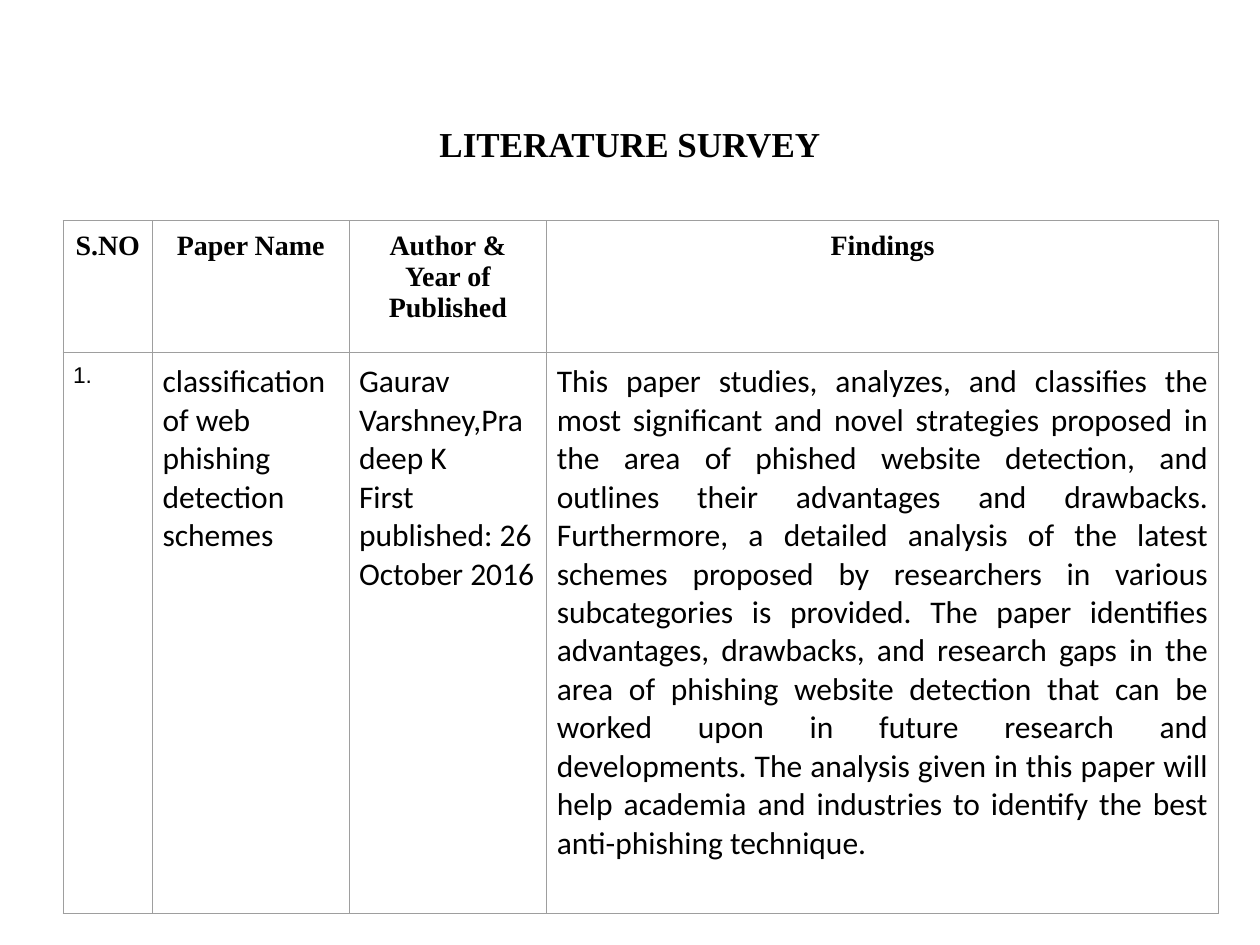
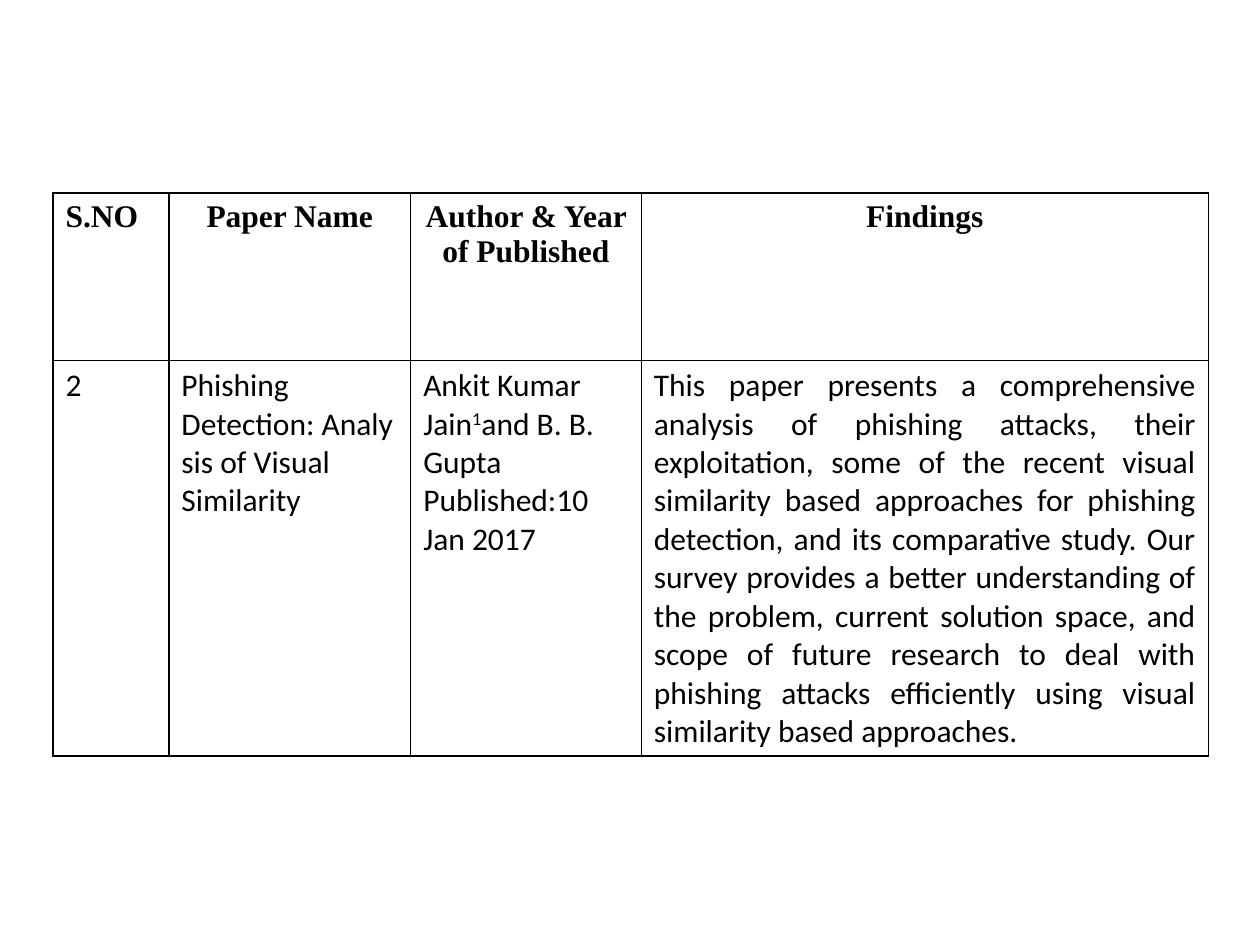
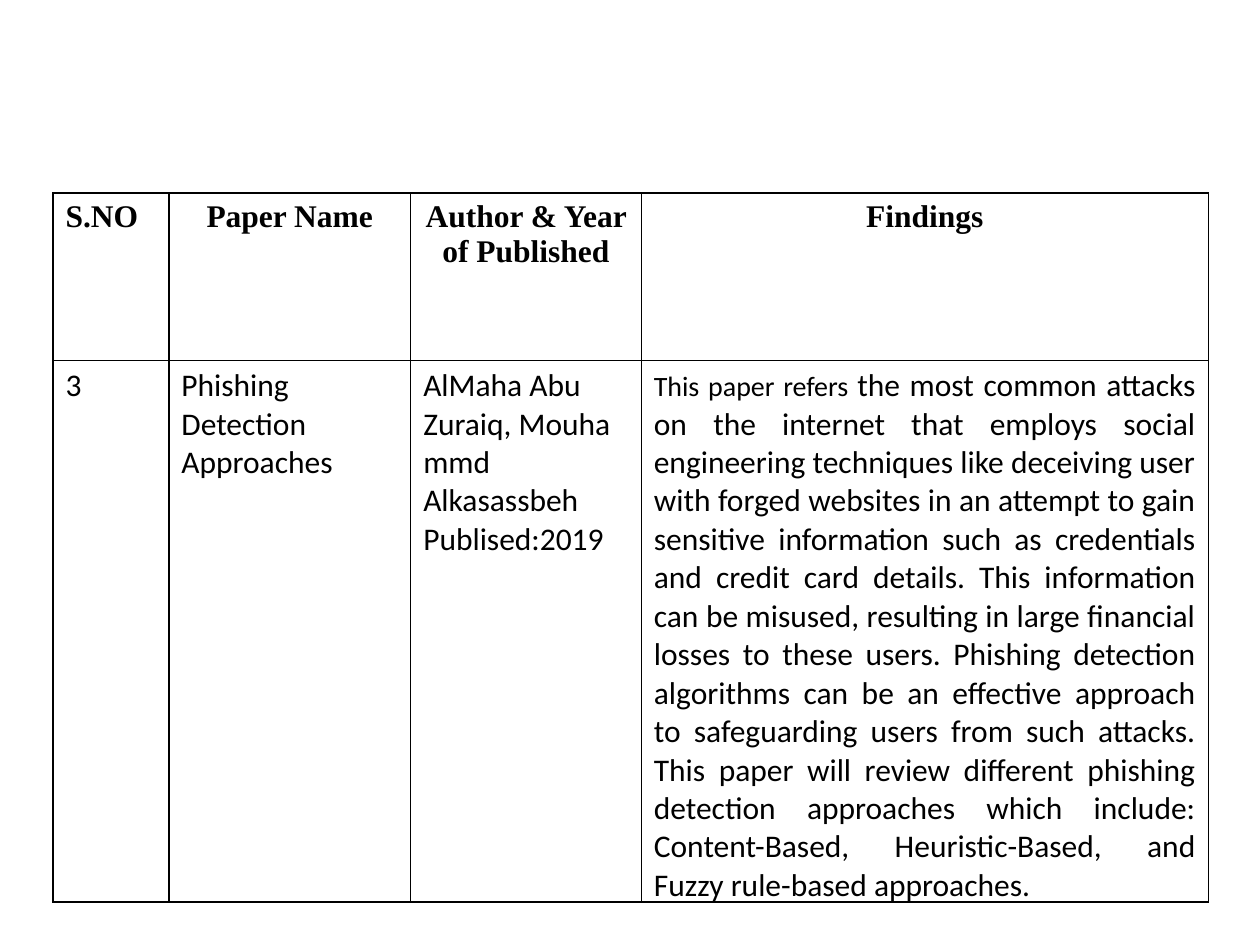
from lxml import etree
from pptx import Presentation
from pptx import util as u
from pptx.dml.color import RGBColor
from pptx.enum import text
from pptx.oxml import ns

COLORS = {"ink": "000000", "grid": "9E9E9E"}
HEADING_FONT, BODY_FONT = "Times New Roman", "Calibri"
SLIDE_WIDTH, SLIDE_HEIGHT = 10, 7.5
TITLE = "LITERATURE SURVEY"
HEADERS = ["S.NO", "Paper Name", "Author & Year of Published", "Findings"]

FIRST_LAYOUT = {
    "left": 0.5, "top": 1.75, "columns": [0.71, 1.56, 1.57, 5.33], "rows": [1.05, 4.45],
    "header_size": 16, "number_font": ("Arial", 13), "number_header": "center",
    "margins": (0.08, 0.08), "border": ("grid", 0.6),
}
LATER_LAYOUT = {
    "left": 0.42, "top": 1.53, "columns": [0.92, 1.92, 1.83, 4.5], "rows": [1.33, 3.14],
    "header_size": 18, "number_font": (BODY_FONT, 18), "number_header": "left",
    "margins": (0.1, 0.05), "border": ("ink", 1),
}

PAPERS = [
    {
        "title": TITLE, "layout": FIRST_LAYOUT,
        "cells": [
            ["1."],
            ["classification of web phishing detection schemes"],
            ["Gaurav Varshney,Pradeep K", "First published: 26 October 2016"],
            ["This paper studies, analyzes, and classifies the most significant and novel "
             "strategies proposed in the area of phished website detection, and outlines their "
             "advantages and drawbacks. Furthermore, a detailed analysis of the latest schemes "
             "proposed by researchers in various subcategories is provided. The paper identifies "
             "advantages, drawbacks, and research gaps in the area of phishing website detection "
             "that can be worked upon in future research and developments. The analysis given in "
             "this paper will help academia and industries to identify the best anti-phishing "
             "technique.\u00a0"],
        ],
    },
    {
        "layout": LATER_LAYOUT,
        "cells": [
            ["2"],
            ["Phishing Detection:\u00a0Analysis of Visual Similarity"],
            [[("Ankit Kumar Jain", {}), ("1", {"baseline": 30000}),
              ("and\u00a0B. B. Gupta\nPublished:10 Jan 2017", {})]],
            ["This paper presents a comprehensive analysis of phishing attacks, their "
             "exploitation, some of the recent visual similarity based approaches for phishing "
             "detection, and its comparative study. Our survey provides a better understanding of "
             "the problem, current solution space, and scope of future research to deal with "
             "phishing attacks efficiently using visual similarity based approaches."],
        ],
    },
    {
        "layout": LATER_LAYOUT,
        "cells": [
            ["3"],
            ["Phishing Detection Approaches"],
            ["AlMaha Abu Zuraiq,\u00a0Mouhammd Alkasassbeh", "Publised:2019"],
            [[("This paper refers ", {"sz": 1600}),
              ("the most common attacks on the internet that employs social engineering "
               "techniques like deceiving user with forged websites in an attempt to gain "
               "sensitive information such as credentials and credit card details. This "
               "information can be misused, resulting in large financial losses to these users. "
               "Phishing detection algorithms can be an effective approach to safeguarding users "
               "from such attacks. This paper will review different phishing detection approaches "
               "which include: Content-Based, Heuristic-Based, and Fuzzy rule-based approaches.",
               {})]],
        ],
    },
]

ALIGNMENTS = {
    "left": text.PP_ALIGN.LEFT,
    "center": text.PP_ALIGN.CENTER,
    "justify": text.PP_ALIGN.JUSTIFY,
}


def write_paragraph(paragraph, content, font, size, bold=False, align="left"):
    paragraph.alignment = ALIGNMENTS[align]
    paragraph.font.name = font
    paragraph.font.size = u.Pt(size)
    paragraph.font.bold = bold
    paragraph.font.color.rgb = RGBColor.from_string(COLORS["ink"])
    runs = [(content, {})] if isinstance(content, str) else content
    for words, attributes in runs:
        for index, line in enumerate(words.split("\n")):
            if index:
                paragraph.add_line_break()
            run = paragraph.add_run()
            run.text = line
            for name, value in attributes.items():
                run._r.get_or_add_rPr().set(name, str(value))


def write_frame(frame, paragraphs, **style):
    for index, content in enumerate(paragraphs):
        paragraph = frame.add_paragraph() if index else frame.paragraphs[0]
        write_paragraph(paragraph, content, **style)


def format_cell(cell, layout):
    horizontal, vertical = layout["margins"]
    cell.margin_left = cell.margin_right = u.Inches(horizontal)
    cell.margin_top = cell.margin_bottom = u.Inches(vertical)
    cell.fill.background()
    color, width = layout["border"]
    properties = cell._tc.get_or_add_tcPr()
    for index, side in enumerate(("lnL", "lnR", "lnT", "lnB")):
        line = etree.Element(ns.qn("a:" + side), w=str(u.Pt(width)))
        fill = etree.SubElement(line, ns.qn("a:solidFill"))
        etree.SubElement(fill, ns.qn("a:srgbClr"), val=COLORS[color])
        properties.insert(index, line)


def add_title(slide, title):
    width = SLIDE_WIDTH * 0.65
    box = slide.shapes.add_textbox(
        u.Inches((SLIDE_WIDTH - width) / 2), u.Inches(0.92), u.Inches(width), u.Inches(0.44))
    box.text_frame.word_wrap = True
    write_frame(box.text_frame, [title], font=HEADING_FONT, size=20, bold=True, align="center")


def add_paper_table(slide, layout, cells):
    columns, rows = layout["columns"], layout["rows"]
    frame = slide.shapes.add_table(
        len(rows), len(columns), u.Inches(layout["left"]), u.Inches(layout["top"]),
        u.Inches(sum(columns)), u.Inches(sum(rows)))
    table = frame.table
    table.first_row = table.horz_banding = False
    for row, height in zip(table.rows, rows):
        row.height = u.Inches(height)
    number_font, number_size = layout["number_font"]
    for index, width in enumerate(columns):
        table.columns[index].width = u.Inches(width)
        header, body = table.cell(0, index), table.cell(1, index)
        format_cell(header, layout)
        format_cell(body, layout)
        write_frame(header.text_frame, [HEADERS[index]], font=HEADING_FONT,
                    size=layout["header_size"], bold=True,
                    align="center" if index else layout["number_header"])
        write_frame(body.text_frame, cells[index],
                    font=BODY_FONT if index else number_font,
                    size=18 if index else number_size,
                    align="justify" if index == len(columns) - 1 else "left")


presentation = Presentation()
presentation.slide_width = u.Inches(SLIDE_WIDTH)
presentation.slide_height = u.Inches(SLIDE_HEIGHT)
for paper in PAPERS:
    slide = presentation.slides.add_slide(presentation.slide_layouts[6])
    add_paper_table(slide, paper["layout"], paper["cells"])
    if "title" in paper:
        add_title(slide, paper["title"])
presentation.save("out.pptx")
